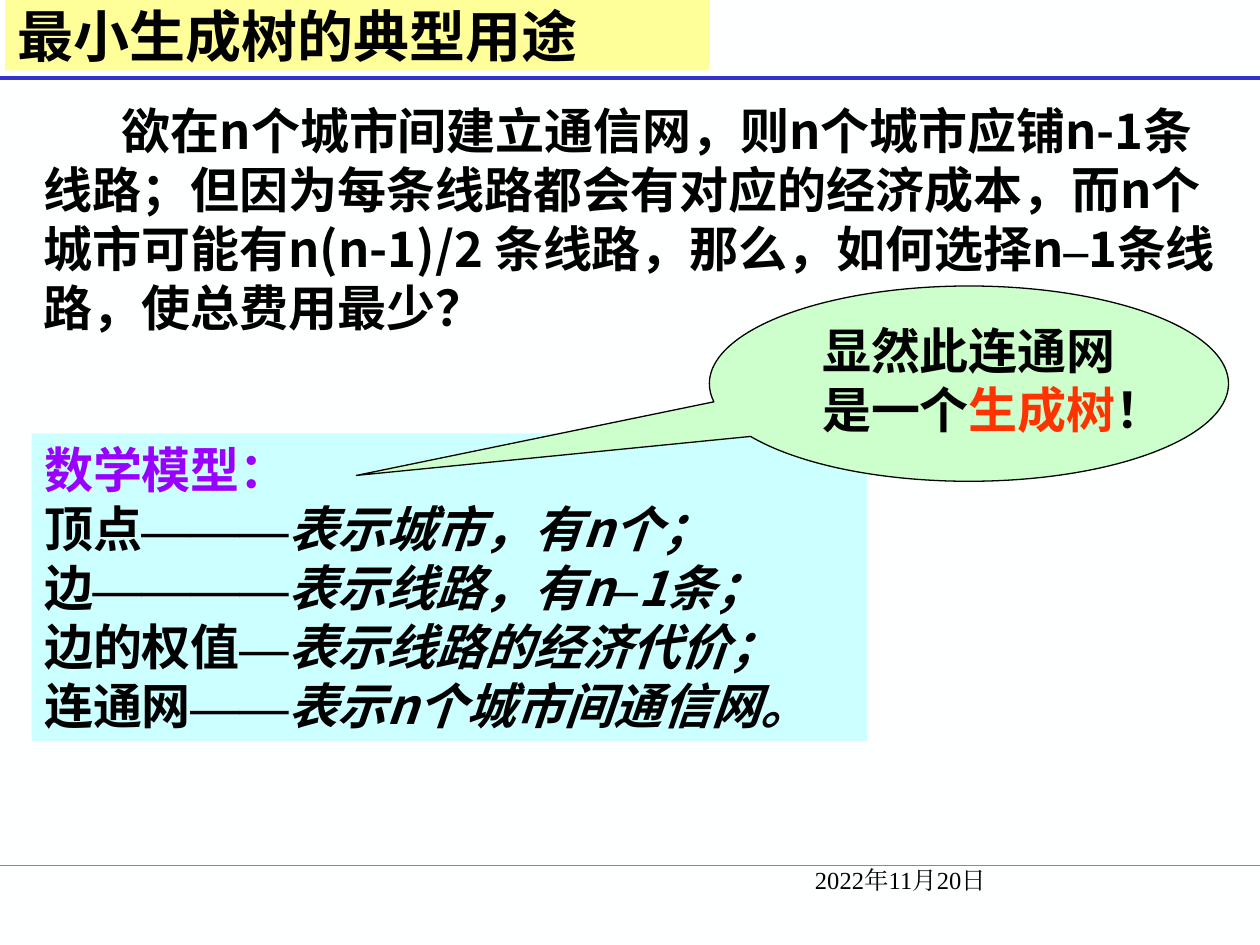
from pptx import Presentation
from pptx.dml.color import RGBColor
from pptx.enum.shapes import MSO_CONNECTOR, MSO_SHAPE
from pptx.enum.text import MSO_ANCHOR, MSO_AUTO_SIZE, PP_ALIGN
from pptx.oxml.ns import qn
from pptx.util import Inches, Pt
from lxml.etree import SubElement

COLORS = {
    "page": "FEFFFF", "ink": "000000", "footer_rule": "00CC99",
    "title_rule": "3333CC", "title_fill": "FFFF99", "model_fill": "CCFFFF",
    "callout_fill": "CCFFCC", "model_name": "9900FF", "accent": "FF3300",
}
SANS, SERIF = "Noto Sans CJK SC", "Times New Roman"

# The page is a grid of 100 columns by 75 rows
COLUMNS, ROWS = 100, 75
PAGE_WIDTH, PAGE_HEIGHT = Inches(10), Inches(7.5)

BODY = {"size": Pt(28), "bold": True}
DASH = {**BODY, "name": SERIF, "east": SERIF}
SLANTED = {**BODY, "italic": True}
SLANTED_DASH = {**DASH, "italic": True}


def color(name):
    return RGBColor.from_string(COLORS[name])


def grid(left, top, width, height):
    column, row = PAGE_WIDTH / COLUMNS, PAGE_HEIGHT / ROWS
    return [int(v) for v in
            (left * column, top * row, width * column, height * row)]


def move(shape, box):
    for side, value in zip(("left", "top", "width", "height"), grid(*box)):
        setattr(shape, side, value)


def fill(shape, name):
    shape.fill.solid()
    shape.fill.fore_color.rgb = color(name)


def set_frame(shape, anchor=MSO_ANCHOR.TOP):
    frame = shape.text_frame
    settings = {"word_wrap": True, "auto_size": MSO_AUTO_SIZE.NONE,
                "vertical_anchor": anchor}
    for key, value in settings.items():
        setattr(frame, key, value)
    return frame


def add_span(para, text, style, ink="ink"):
    span = para.add_run()
    span.text = text
    settings = {"name": SANS, "east": SANS, **style}
    east = settings.pop("east")
    for key, value in settings.items():
        setattr(span.font, key, value)
    span.font.color.rgb = color(ink)
    latin = span.font._element.find(qn("a:latin"))
    east_font = latin.makeelement(qn("a:ea"), {"typeface": east})
    latin.addnext(east_font)


def format_para(para, margin=0, indent=0, align=PP_ALIGN.LEFT, spacing=None):
    properties = para._p.get_or_add_pPr()
    properties.set("marL", str(Inches(margin)))
    properties.set("indent", str(Inches(indent)))
    SubElement(properties, qn("a:buNone"))
    settings = {"alignment": align, "space_before": Pt(0),
                "line_spacing": spacing}
    for key, value in settings.items():
        setattr(para, key, value)


def write(frame, lines, **layout):
    for number, spans in enumerate(lines):
        para = frame.add_paragraph() if number else frame.paragraphs[0]
        format_para(para, **layout)
        for span in spans:
            add_span(para, *span)


def add_rule(page, row, name, weight):
    left, top, width, _ = grid(0, row, COLUMNS, 0)
    rule = page.shapes.add_connector(
        MSO_CONNECTOR.STRAIGHT, left, top, left + width, top)
    rule.line.color.rgb = color(name)
    rule.line.width = Pt(weight)
    SubElement(rule._element.spPr, qn("a:effectLst"))


def add_title(page, box):
    title = page.shapes.title
    move(title, box)
    fill(title, "title_fill")
    write(set_frame(title, MSO_ANCHOR.MIDDLE),
          [[("最小生成树的典型用途", {"size": Pt(32), "bold": True})]])


def add_question(page, box):
    question = page.shapes.add_textbox(*grid(*box))
    spans = [
        ("欲在n个城市间建立通信网，则n个城市应铺n-1条线路；"
         "但因为每条线路都会有对应的经济成本，而n个城市可能有n(n-1)/2 条线路，"
         "那么，如何选择n", BODY),
        ("–", DASH),
        ("1条线路，使总费用最少？", BODY),
    ]
    write(set_frame(question), [spans], indent=0.62, spacing=Pt(33.7))


def add_model(page, box):
    model = page.placeholders[1]
    move(model, box)
    fill(model, "model_fill")
    terms = [
        ("顶点", "———", [("表示城市，有n个；", SLANTED)]),
        ("边", "————", [("表示线路，有n", SLANTED), ("–", SLANTED_DASH),
                       ("1条；", SLANTED)]),
        ("边的权值", "—", [("表示线路的经济代价；", SLANTED)]),
        ("连通网", "——", [("表示n个城市间通信网。", SLANTED)]),
    ]
    lines = [[("数学模型：", BODY, "model_name")]]
    lines += [[(term, BODY), (dashes, SLANTED_DASH), *meaning]
              for term, dashes, meaning in terms]
    write(set_frame(model), lines,
          margin=0.42, indent=-0.42, spacing=Pt(33.7))


def add_callout(page, box):
    callout = page.shapes.add_shape(
        MSO_SHAPE.OVAL_CALLOUT, *grid(*box))
    callout.adjustments[0], callout.adjustments[1] = -1.18, 0.47
    callout.shadow.inherit = False
    fill(callout, "callout_fill")
    callout.line.color.rgb = color("ink")
    callout.line.width = Pt(0.75)
    style = {**BODY, "name": SERIF}
    spans = [("显然此连通网是一个", style), ("生成树", style, "accent"),
             ("！", style)]
    write(set_frame(callout), [spans],
          align=PP_ALIGN.CENTER, spacing=Pt(33.7))


def add_date(page, box):
    date = page.shapes.add_textbox(*grid(*box))
    style = {"size": Pt(14), "name": SERIF, "east": SERIF}
    write(set_frame(date), [[("2022年11月20日", style)]], margin=0.97)


def main():
    deck = Presentation()
    deck.slide_width, deck.slide_height = PAGE_WIDTH, PAGE_HEIGHT
    page = deck.slides.add_slide(deck.slide_layouts[1])
    fill(page.background, "page")

    # Rules under the title and above the footer
    add_rule(page, 68.7, "footer_rule", 0.75)
    add_rule(page, 6.2, "title_rule", 2.25)

    # Text regions
    add_title(page, (0.4, 0, 55.9, 5.6))
    add_question(page, (2.5, 7.5, 95, 19.7))
    add_model(page, (2.5, 34.4, 66.3, 24.4))
    add_callout(page, (56.3, 22.7, 41.2, 15.5))
    add_date(page, (54, 68.2, 48.3, 5))

    deck.save("out.pptx")


if __name__ == "__main__":
    main()
